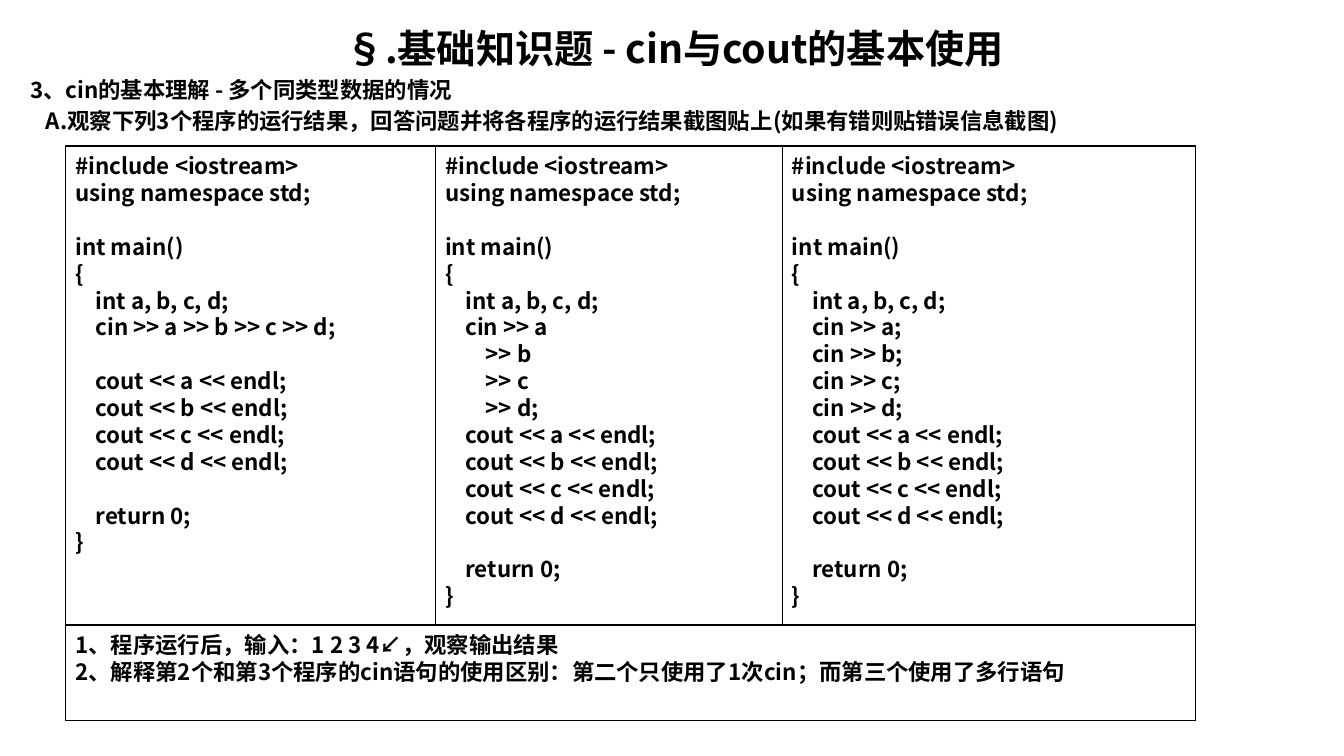
from lxml.etree import SubElement
from pptx import Presentation
from pptx.dml.color import RGBColor
from pptx.enum.shapes import MSO_SHAPE
from pptx.enum.text import MSO_ANCHOR, PP_ALIGN
from pptx.oxml.ns import qn
from pptx.util import Cm, Pt

BLACK = RGBColor(0, 0, 0)
WHITE = RGBColor(255, 255, 255)
FONT = "Noto Sans CJK SC"
LINE_RATIO = 1.2
BODY_SIZE = 16
TITLE_SIZE = 28

LEFT, TOP, BOTTOM = 1.65, 3.68, 18.16
COLUMN_WIDTHS = (9.32, 8.74, 10.41)
FULL_WIDTH = sum(COLUMN_WIDTHS)
QUESTION_TOP = 15.75

TITLE = "§.基础知识题 - cin与cout的基本使用"
SECTION = "3、cin的基本理解 - 多个同类型数据的情况"
TASK = "A.观察下列3个程序的运行结果，回答问题并将各程序的运行结果截图贴上(如果有错则贴错误信息截图)"
QUESTIONS = [
    "1、程序运行后，输入：1 2 3 4↙，观察输出结果",
    "2、解释第2个和第3个程序的cin语句的使用区别：第二个只使用了1次cin；而第三个使用了多行语句",
]
INPUT_STATEMENTS = [
    ["    cin >> a >> b >> c >> d;", ""],
    ["    cin >> a", "        >> b", "        >> c", "        >> d;"],
    [f"    cin >> {name};" for name in "abcd"],
]


def apply_format(target, values):
    """Set every attribute named in the dict of format values."""
    for name, value in values.items():
        setattr(target, name, value)


def program_lines(input_lines):
    """Return the code of one program around its input statements."""
    return [
        "#include <iostream>",
        "using namespace std;",
        "",
        "int main()",
        "{",
        "    int a, b, c, d;",
        *input_lines,
        *[f"    cout << {name} << endl;" for name in "abcd"],
        "",
        "    return 0;",
        "}",
    ]


def write_paragraph(paragraph, text, size=BODY_SIZE, **paragraph_format):
    """Write one bold black line with its paragraph format."""
    apply_format(paragraph, {
        "alignment": PP_ALIGN.LEFT,
        "line_spacing": Pt(size * LINE_RATIO),
        **paragraph_format,
    })
    if not text:
        return
    run = paragraph.add_run()
    run.text = text
    apply_format(run.font, {"size": Pt(size), "bold": True, "name": FONT})
    run.font.color.rgb = BLACK
    SubElement(run.font._element, qn("a:ea"), typeface=FONT)


def prepare_frame(shape):
    """Return the wrapped, top-anchored text frame of a shape."""
    frame = shape.text_frame
    apply_format(frame, {
        "word_wrap": True,
        "vertical_anchor": MSO_ANCHOR.TOP,
        "margin_top": Cm(0.16),
    })
    return frame


def add_heading(slide):
    """Add the title, section and task lines."""
    box = slide.shapes.add_textbox(Cm(0.51), Cm(0.46), Cm(32.99), Cm(18.01))
    frame = prepare_frame(box)
    gap = Pt(BODY_SIZE * 0.2)
    write_paragraph(frame.paragraphs[0], TITLE, TITLE_SIZE, alignment=PP_ALIGN.CENTER)
    write_paragraph(frame.add_paragraph(), SECTION, space_before=gap)
    task = frame.add_paragraph()
    write_paragraph(task, TASK, space_before=gap)
    task._p.get_or_add_pPr().set("marL", str(Cm(0.4)))


def add_box(slide, left, top, width, lines=(), fill=None):
    """Add an outlined box reaching the bottom edge, with its text lines."""
    box = slide.shapes.add_shape(
        MSO_SHAPE.RECTANGLE, Cm(left), Cm(top), Cm(width), Cm(BOTTOM - top))
    box.shadow.inherit = False
    box.line.color.rgb = BLACK
    box.line.width = Pt(0.75)
    if fill is None:
        box.fill.background()
    else:
        box.fill.solid()
        box.fill.fore_color.rgb = fill
    frame = prepare_frame(box)
    for index, text in enumerate(lines):
        paragraph = frame.add_paragraph() if index else frame.paragraphs[0]
        write_paragraph(paragraph, text)


def main():
    """Build and save the slide."""
    presentation = Presentation()
    apply_format(presentation, {"slide_width": Cm(33.87), "slide_height": Cm(19.05)})
    slide = presentation.slides.add_slide(presentation.slide_layouts[6])
    add_box(slide, LEFT, TOP, FULL_WIDTH)
    add_heading(slide)
    left = LEFT
    for width, input_lines in zip(COLUMN_WIDTHS, INPUT_STATEMENTS):
        add_box(slide, left, TOP, width, program_lines(input_lines))
        left += width
    add_box(slide, LEFT, QUESTION_TOP, FULL_WIDTH, QUESTIONS, WHITE)
    presentation.save("out.pptx")


if __name__ == "__main__":
    main()
